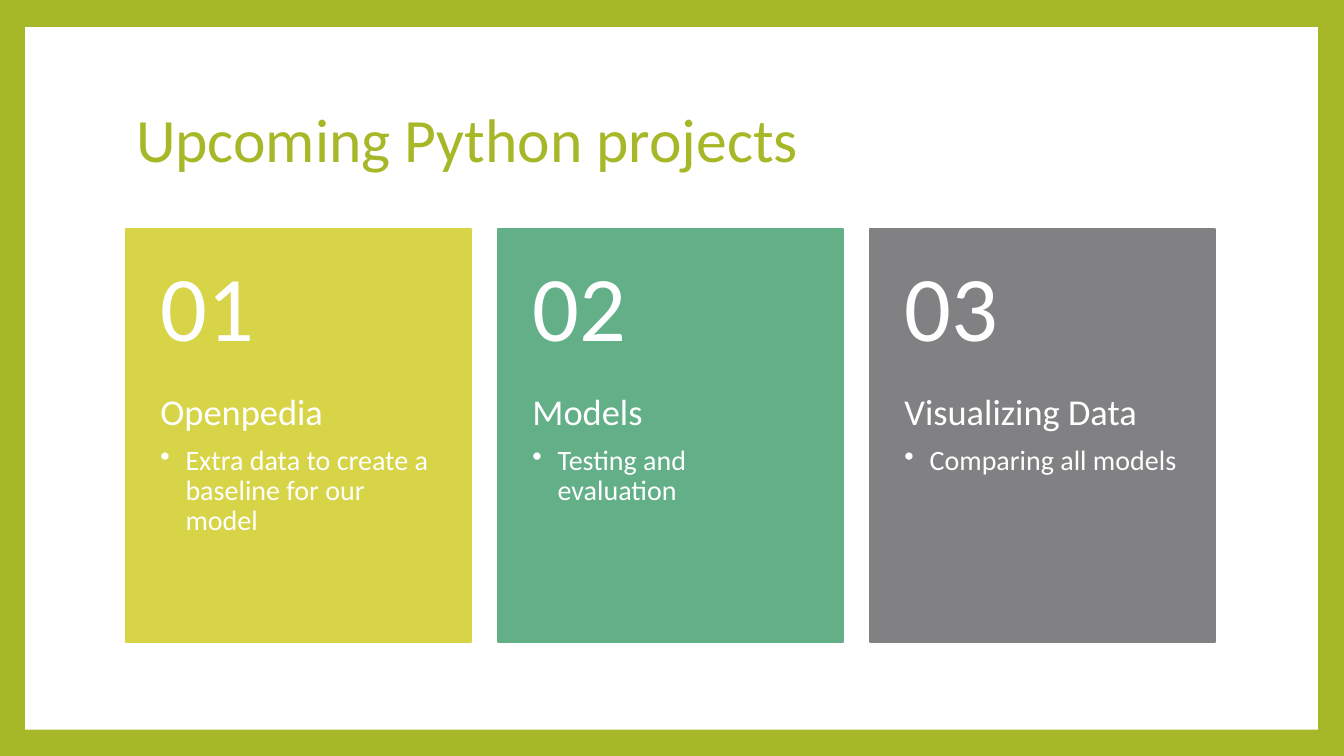
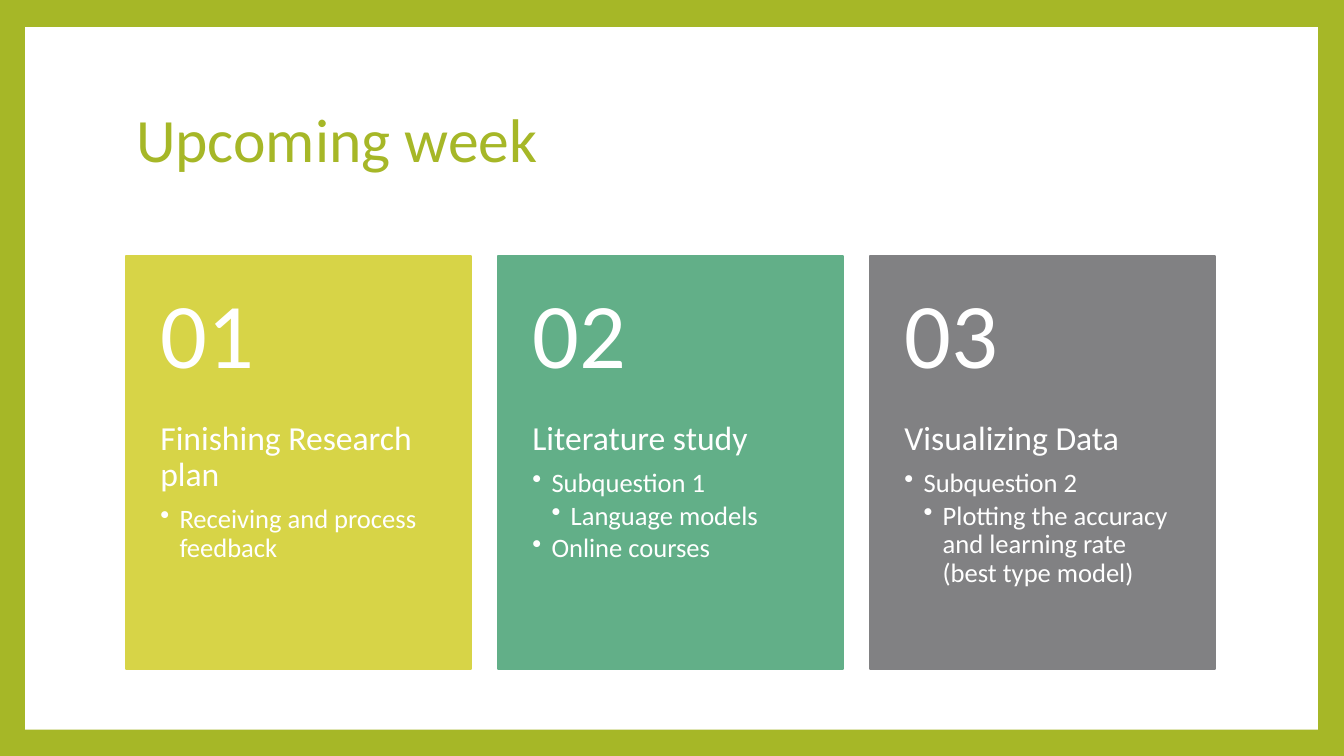
import pptx
import pptx.util
import pptx.dml.color
import pptx.enum.shapes
import pptx.enum.text
import pptx.oxml.ns
import lxml.etree

Inches = pptx.util.Inches
Pt = pptx.util.Pt
Anchor = pptx.enum.text.MSO_ANCHOR


class Theme:
    font = "Calibri"
    lime, white = "A6B727", "FFFFFF"
    cards = ["D7D447", "62AF88", "818183"]
    title, number = 44, 66
    leading = 0.9
    head_gap, item_gap = 0.35, 0.15  # share of the type size


def color(code):
    return pptx.dml.color.RGBColor.from_string(code)


def assign(target, values):
    for name, value in values.items():
        setattr(target, name, value)


class Deck:
    left, width, pitch, height = 1.25, 3.42, 3.69, 4.1
    split = 1.64  # height of the number zone

    def __init__(self, theme):
        self.theme = theme
        self.prs = pptx.Presentation()
        assign(self.prs, {"slide_width": Inches(13.33), "slide_height": Inches(7.5)})
        self.layout = self.prs.slide_layouts[5]
        fill = self.prs.slide_master.background.fill
        fill.solid()
        fill.fore_color.rgb = color(theme.lime)
        self.slide = None

    def start(self, title):
        self.slide = self.prs.slides.add_slide(self.layout)
        # White panel, placed behind the title
        panel = self.rect(0.25, 0.27, 12.82, 6.97, self.theme.white)
        self.slide.shapes._spTree.insert(2, panel._element)
        # Title
        shape = self.slide.shapes.title
        assign(shape, {"left": Inches(1.25), "top": Inches(0.67),
                       "width": Inches(10.8), "height": Inches(1.48)})
        self.frame(shape, Anchor.MIDDLE, 0.1, 0.05, 0.05)
        self.text(shape.text_frame.paragraphs[0], title,
                  self.theme.title, self.theme.lime)

    def rect(self, left, top, width, height, fill):
        kind = pptx.enum.shapes.MSO_SHAPE.RECTANGLE
        shape = self.slide.shapes.add_shape(
            kind, Inches(left), Inches(top), Inches(width), Inches(height))
        shape.shadow.inherit = False
        shape.fill.solid()
        shape.fill.fore_color.rgb = color(fill)
        shape.line.fill.background()
        return shape

    def frame(self, shape, anchor, side, top, bottom):
        assign(shape.text_frame, {
            "word_wrap": True, "vertical_anchor": anchor,
            "auto_size": pptx.enum.text.MSO_AUTO_SIZE.NONE,
            "margin_left": Inches(side), "margin_right": Inches(side),
            "margin_top": Inches(top), "margin_bottom": Inches(bottom)})

    def box(self, left, top, height, anchor, inset, bottom):
        shape = self.slide.shapes.add_textbox(
            Inches(left), Inches(top), Inches(self.width), Inches(height))
        self.frame(shape, anchor, 0.34, inset, bottom)
        return shape.text_frame

    def text(self, para, words, size, ink, gap=0):
        assign(para, {"alignment": pptx.enum.text.PP_ALIGN.LEFT,
                      "line_spacing": self.theme.leading,
                      "space_before": Pt(0), "space_after": Pt(size * gap)})
        run = para.add_run()
        run.text = words
        assign(run.font, {"name": self.theme.font, "size": Pt(size)})
        run.font.color.rgb = color(ink)

    def bullet(self, para, level, indent):
        para.level = level
        props = para._p.get_or_add_pPr()
        props.set("marL", str(Inches(indent * level)))
        props.set("indent", str(-Inches(indent)))
        mark = lxml.etree.SubElement(props, pptx.oxml.ns.qn("a:buChar"))
        mark.set("char", "•")

    def card(self, index, top, head, items, sizes, indent):
        theme = self.theme
        left = self.left + index * self.pitch
        fill = theme.cards[index]
        shape = self.rect(left, top, self.width, self.height, fill)
        shape.line.color.rgb = color(fill)
        shape.line.width = Pt(1.5)
        # Number
        zone = self.box(left, top, self.split, Anchor.MIDDLE, 0.18, 0.18)
        self.text(zone.paragraphs[0], f"{index + 1:02d}", theme.number,
                  theme.white, theme.head_gap)
        # Heading and bullets
        body = self.box(left, top + self.split, self.height - self.split,
                        Anchor.TOP, 0, 0.36)
        self.text(body.paragraphs[0], head, sizes[0], theme.white, theme.head_gap)
        for level, words in items:
            para = body.add_paragraph()
            self.text(para, words, sizes[1], theme.white, theme.item_gap)
            self.bullet(para, level, indent)

    def cards(self, top, sizes, indent, content):
        for index, (head, items) in enumerate(content):
            self.card(index, top, head, items, sizes, indent)


deck = Deck(Theme())

# Slide 1: projects
deck.start("Upcoming Python projects")
deck.cards(2.27, (26, 20), 0.25, [
    ("Openpedia", [(1, "Extra data to create a baseline for our model")]),
    ("Models", [(1, "Testing and evaluation")]),
    ("Visualizing Data", [(1, "Comparing all models")]),
])

# Slide 2: week
deck.start("Upcoming week")
deck.cards(2.54, (24, 19), 0.19, [
    ("Finishing Research plan", [(1, "Receiving and process feedback")]),
    ("Literature study", [(1, "Subquestion 1"), (2, "Language models"),
                          (1, "Online courses")]),
    ("Visualizing Data", [
        (1, "Subquestion 2"),
        (2, "Plotting the accuracy and learning rate (best type model)")]),
])

deck.prs.save("out.pptx")
